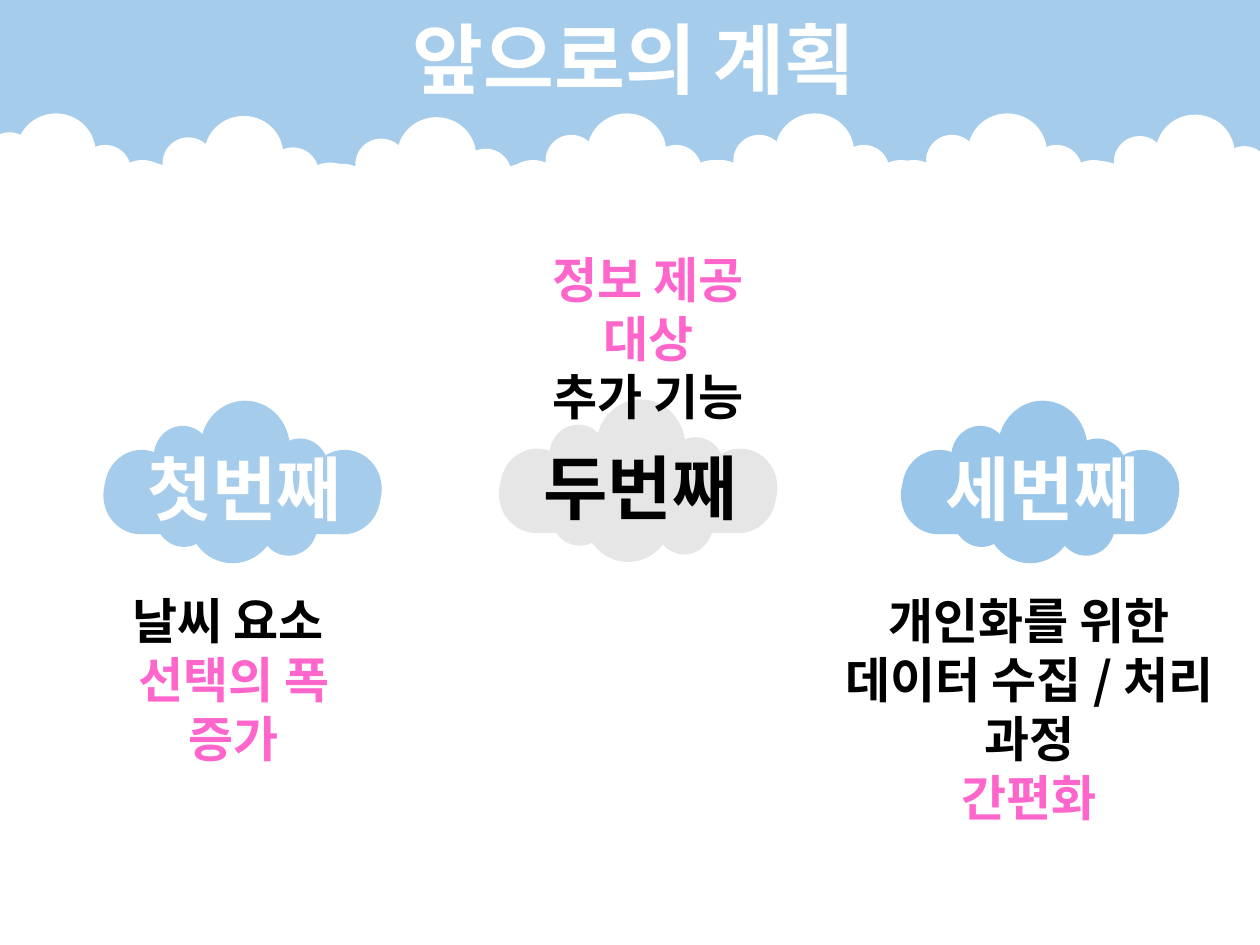
"""Build the future plans slide: a cloud bank header and three labelled clouds."""
from lxml import etree
from pptx import Presentation
from pptx.dml.color import RGBColor
from pptx.enum.shapes import MSO_SHAPE
from pptx.enum.text import MSO_ANCHOR, MSO_AUTO_SIZE, PP_ALIGN
from pptx.oxml.ns import qn
from pptx.util import Inches, Pt

OVAL, RECT = MSO_SHAPE.OVAL, MSO_SHAPE.RECTANGLE
TOP, CENTER = MSO_ANCHOR.TOP, PP_ALIGN.CENTER
GROW = MSO_AUTO_SIZE.SHAPE_TO_FIT_TEXT
FONT = "Noto Sans CJK KR"
COLORS = {"sky": "A6CCEC", "white": "FFFFFF", "gray": "E6E6E6",
          "blue": "9AC6EA", "black": "000000", "pink": "FF66CC"}

BANK_EDGE = [(OVAL, 0.87, 1.27, 0.52, 0.52), (OVAL, -0.13, 1.05, 0.41, 0.41),
             (OVAL, 0.13, 0.9, 0.63, 0.62), (OVAL, 0.63, 1.15, 0.41, 0.41),
             (RECT, 0, 1.38, 1.18, 0.41)]
BANK_PUFFS = [(OVAL, 0, 0, 0.52, 0.52), (OVAL, 1.43, 0, 0.52, 0.52),
              (OVAL, 0.36, -0.2, 0.41, 0.41), (OVAL, 0.69, -0.37, 0.63, 0.62),
              (OVAL, 1.19, -0.12, 0.41, 0.41), (RECT, 0.28, 0.11, 1.46, 0.41)]
BANK_SPOTS = [(0.93, 1.29), (2.46, 1.3), (3.97, 1.27),
              (5.46, 1.27), (6.99, 1.27), (8.48, 1.28)]
CLOUD_TOP = [(OVAL, 0, 0, 0.59, 0.62), (OVAL, 1.61, 0, 0.59, 0.62),
             (OVAL, 0.4, -0.24, 0.46, 0.49), (OVAL, 0.77, -0.44, 0.71, 0.75),
             (OVAL, 1.33, -0.14, 0.46, 0.49), (RECT, 0.31, 0.13, 1.64, 0.49)]
CLOUD_BOTTOM = [(OVAL, 1.62, -0.05, 0.59, 0.62), (OVAL, 0.01, -0.05, 0.59, 0.62),
                (OVAL, 1.24, 0.3, 0.46, 0.49), (OVAL, 0.67, 0.1, 0.71, 0.75),
                (OVAL, 0.41, 0.23, 0.46, 0.49), (RECT, 0.22, 0.02, 1.64, 0.49)]
STEPS = [
    (0.82, 3.62, "sky", "첫번째", "white", (0.65, 4.64, 2.41, 1.38),
     [("날씨 요소 ", "black"), ("선택의 폭 증가", "pink")]),
    (3.96, 3.61, "gray", "두번째", "black", (3.94, 1.93, 2.41, 1.04),
     [("정보 제공 대상", "pink"), ("추가 기능", "black")]),
    (7.15, 3.62, "blue", "세번째", "white", (6.38, 4.64, 3.58, 1.51),
     [("개인화를 위한", "black"), ("데이터 수집 / 처리 과정", "black"),
      ("간편화", "pink")]),
]


def add_puffs(group, parts, color, x=0, y=0, rotation=0):
    for kind, dx, dy, w, h in parts:
        sp = group.shapes.add_shape(kind, Inches(x + dx), Inches(y + dy), Inches(w), Inches(h))
        sp.rotation = rotation
        sp.shadow.inherit = False
        sp.fill.solid()
        sp.fill.fore_color.rgb = RGBColor.from_string(COLORS[color])
        sp.line.fill.background()


def write_text(sp, box, lines, size):
    sp.left, sp.top, sp.width, sp.height = [Inches(v) for v in box]
    tf = sp.text_frame
    tf.word_wrap = True
    tf.auto_size = GROW
    tf.vertical_anchor = TOP
    tf.text = "\n".join(text for text, color in lines)
    for p, (text, color) in zip(tf.paragraphs, lines):
        p.alignment = CENTER
        font = p.runs[0].font
        font.size = Pt(size)
        font.bold = True
        font.name = FONT
        font.color.rgb = RGBColor.from_string(COLORS[color])
        etree.SubElement(p.runs[0]._r.rPr, qn("a:ea"), typeface=FONT)


prs = Presentation()
prs.slide_width, prs.slide_height = Inches(10), Inches(7.5)
s = prs.slides.add_slide(prs.slide_layouts[5])
s.background.fill.solid()
s.background.fill.fore_color.rgb = RGBColor.from_string(COLORS["sky"])

bank = s.shapes.add_group_shape()
add_puffs(bank, BANK_EDGE, "white")
for x, y in BANK_SPOTS:
    add_puffs(bank, BANK_PUFFS, "white", x, y)
add_puffs(bank, [(RECT, 0, 1.7, 10.07, 5.8)], "white")

write_text(s.shapes.title, (1.78, 0.04, 6.51, 0.84), [("앞으로의 계획", "white")], 44)

for x, y, fill, label, label_color, note_box, note in STEPS:
    cloud = s.shapes.add_group_shape()
    add_puffs(cloud, CLOUD_TOP, fill, x, y)
    add_puffs(cloud, CLOUD_BOTTOM, fill, x, y, 180)
    write_text(s.shapes.add_textbox(0, 0, 0, 0), (x + 0.23, y - 0.13, 1.78, 0.77),
               [(label, label_color)], 40)
    write_text(s.shapes.add_textbox(0, 0, 0, 0), note_box, note, 28)

prs.save("out.pptx")
